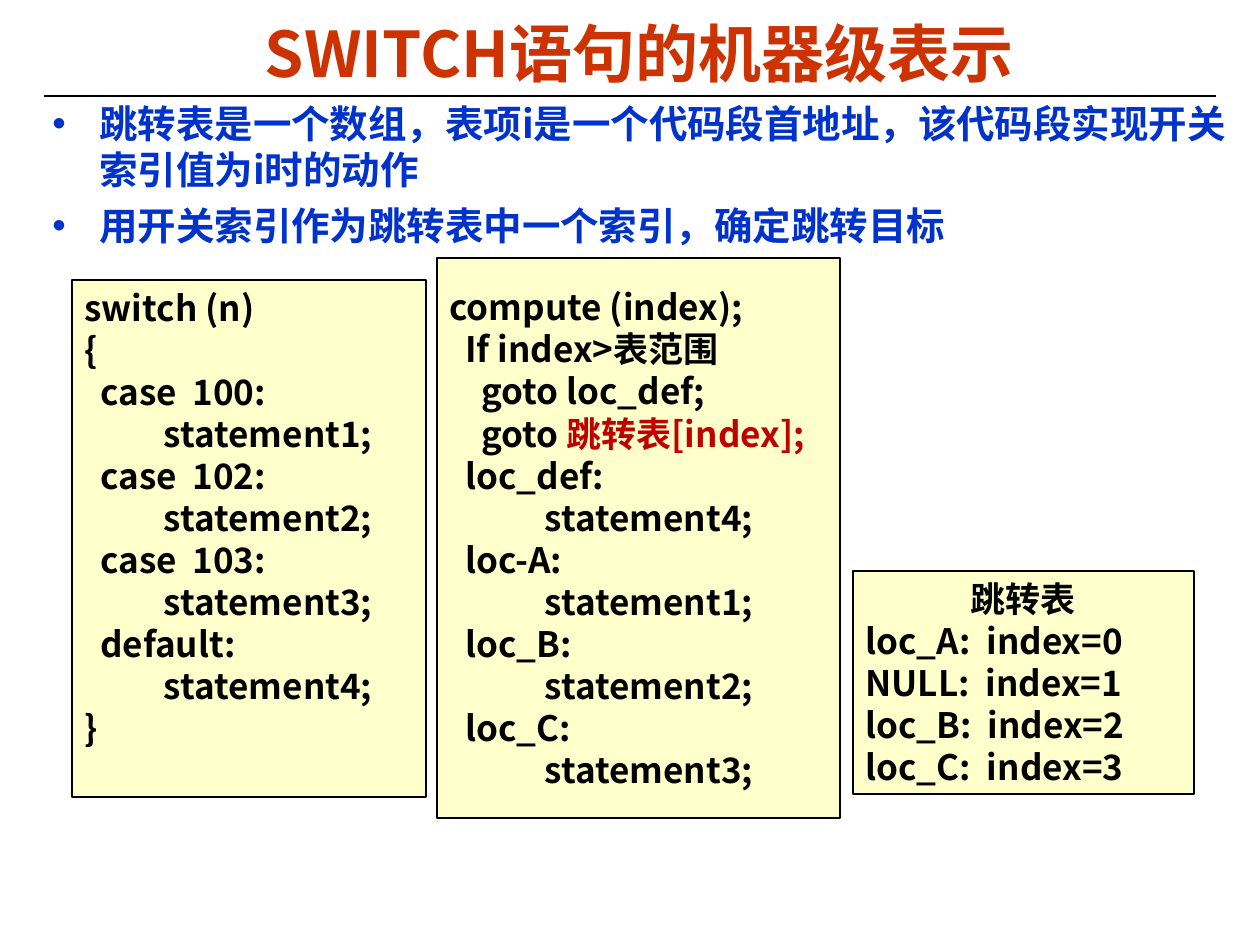
"""Build the slide on the machine-level form of a switch statement."""
from lxml.etree import SubElement
from pptx import Presentation
from pptx.dml.color import RGBColor
from pptx.enum.shapes import MSO_CONNECTOR as CONNECTOR, MSO_SHAPE as SHAPE
from pptx.enum.text import MSO_ANCHOR as ANCHOR, MSO_AUTO_SIZE as AUTO_SIZE, PP_ALIGN as ALIGN
from pptx.oxml.ns import qn
from pptx.util import Pt

FONT = "Noto Sans CJK SC"
ORANGE = RGBColor(0xCC, 0x33, 0x00)
BLUE = RGBColor(0x00, 0x33, 0xCC)
RED = RGBColor(0xC0, 0x00, 0x00)
BLACK = RGBColor(0x00, 0x00, 0x00)
CREAM = RGBColor(0xFF, 0xFF, 0xCC)
INDENT = 47


def px(*lengths):
    return [round(length * 914400 / 126) for length in lengths]


def style(para, size, color, align=ALIGN.LEFT):
    para.alignment = align
    para.line_spacing = Pt(size * 1.2)
    para.font.size = Pt(size)
    para.font.bold = True
    para.font.name = FONT
    para.font.color.rgb = color
    defaults = para._p.pPr.find(qn("a:defRPr"))
    SubElement(defaults, qn("a:ea"), typeface=FONT)


deck = Presentation()
deck.slide_width, deck.slide_height = px(1260, 945)
page = deck.slides.add_slide(deck.slide_layouts[5])

rule = page.shapes.add_connector(CONNECTOR.STRAIGHT, *px(44, 96, 1216, 96))
rule.line.color.rgb = BLACK
rule.line.width = Pt(0.75)
SubElement(rule._element.spPr, qn("a:effectLst"))

title = page.shapes.title
title.left, title.top, title.width, title.height = px(72, 14, 1134, 77)
title.text_frame.auto_size = AUTO_SIZE.NONE
title.text_frame.vertical_anchor = ANCHOR.MIDDLE
title.text_frame.text = "SWITCH语句的机器级表示"
style(title.text_frame.paragraphs[0], 36, ORANGE, ALIGN.CENTER)

points = [
    "跳转表是一个数组，表项i是一个代码段首地址，该代码段实现开关索引值为i时的动作",
    "用开关索引作为跳转表中一个索引，确定跳转目标",
]
body = page.shapes.add_textbox(*px(40, 94, 1203, 291)).text_frame
body.word_wrap = True
body.text = "\n".join(points)
for number, para in enumerate(body.paragraphs):
    properties = para._p.get_or_add_pPr()
    indent = px(INDENT)[0]
    properties.set("marL", str(indent))
    properties.set("indent", str(-indent))
    bullet_color = SubElement(properties, qn("a:buClr"))
    SubElement(bullet_color, qn("a:srgbClr"), val=str(BLUE))
    SubElement(properties, qn("a:buFont"), typeface="Arial")
    SubElement(properties, qn("a:buChar"), char="•")
    style(para, 22, BLUE)
    if number:
        para.space_before = Pt(5.5)

switch_code = """switch (n)
{
  case  100:
          statement1;
  case  102:
          statement2;
  case  103:
          statement3;
  default:
          statement4;
}"""
jump_code = """compute (index);
  If index>表范围
    goto loc_def;
    goto 跳转表[index];
  loc_def:
            statement4;
  loc-A:
            statement1;
  loc_B:
            statement2;
  loc_C:
            statement3;"""
jump_table = """跳转表
loc_A:  index=0
NULL:  index=1
loc_B:  index=2
loc_C:  index=3"""
jump_target = "跳转表[index];"

panels = [
    (switch_code, (72, 280, 354, 517), ANCHOR.TOP),
    (jump_code, (437, 258, 403, 560), ANCHOR.MIDDLE),
    (jump_table, (853, 571, 341, 223), ANCHOR.MIDDLE),
]
for code, place, anchor in panels:
    box = page.shapes.add_shape(SHAPE.RECTANGLE, *px(*place))
    box.shadow.inherit = False
    box.fill.solid()
    box.fill.fore_color.rgb = CREAM
    box.line.color.rgb = BLACK
    box.line.width = Pt(0.75)
    frame = box.text_frame
    frame.word_wrap = True
    frame.vertical_anchor = anchor
    for number, line in enumerate(code.split("\n")):
        para = frame.add_paragraph() if number else frame.paragraphs[0]
        before, target, after = line.partition(jump_target)
        para.add_run().text = before
        if target:
            span = para.add_run()
            span.text = target
            span.font.color.rgb = RED
        style(para, 20, BLACK, ALIGN.CENTER if line == "跳转表" else ALIGN.LEFT)

deck.save("out.pptx")
